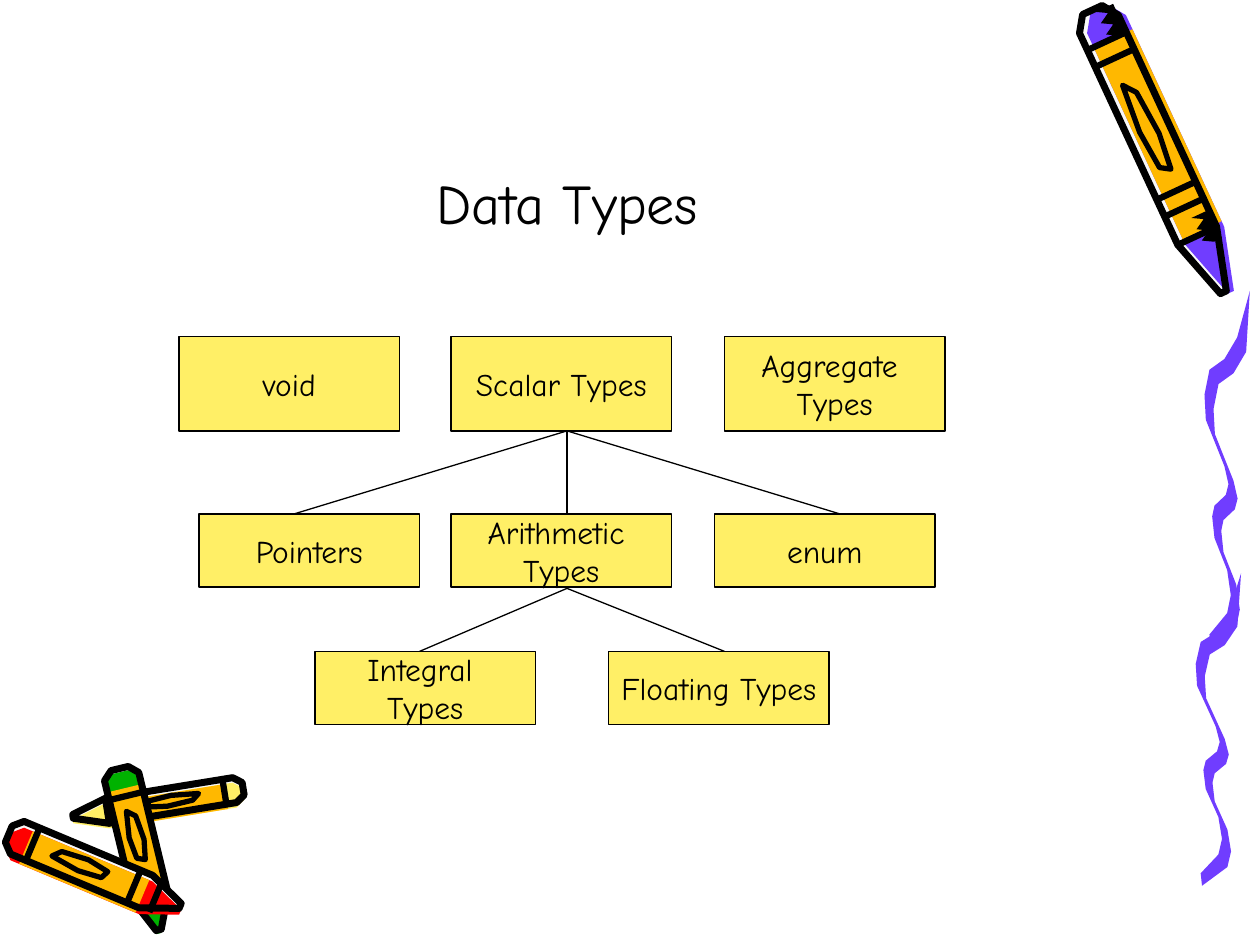
from math import hypot

from pptx import Presentation
from pptx.dml.color import RGBColor
from pptx.enum.shapes import MSO_CONNECTOR as CONN, MSO_SHAPE as SHAPE
from pptx.enum.text import MSO_ANCHOR as ANCHOR, PP_ALIGN as ALIGN
from pptx.oxml.ns import qn
from pptx.util import Inches, Pt

rgb = RGBColor.from_string
PURPLE, ORANGE, YELLOW = "703DFF", "FFB800", "FFEF66"
RED, GREEN, WHITE, BLACK = "FF0000", "00B200", "F8F8F8", "000000"
FONT = "Comic Neue"


def add_polygon(points, fill=None, ink=0):
    """Draw a closed outline through points in inches, filled or inked."""
    corners = [(Inches(x), Inches(y)) for x, y in points]
    builder = slide.shapes.build_freeform(*corners[0])
    builder.add_line_segments(corners[1:], close=True)
    s = builder.convert_to_shape()
    s.shadow.inherit = False
    if fill:
        s.fill.solid()
        s.fill.fore_color.rgb = rgb(fill)
    else:
        s.fill.background()
    if ink:
        s.line.color.rgb = rgb(BLACK)
        s.line.width = Pt(ink)
    else:
        s.line.fill.background()


def write_text(tf, lines, size, anchor):
    """Write centred lines, one paragraph each."""
    tf.text = "\n".join(lines)
    tf.vertical_anchor = anchor
    for p in tf.paragraphs:
        p.alignment = ALIGN.CENTER
        font = p.runs[0].font
        for name, value in {"size": Pt(size), "name": FONT}.items():
            setattr(font, name, value)
        font.color.rgb = rgb(BLACK)


prs = Presentation()
prs.slide_width, prs.slide_height = Inches(10), Inches(7.5)
slide = prs.slides.add_slide(prs.slide_layouts[5])

# Every crayon shares these parts, measured as (along, across):
# along runs from 0 at the back to 1 at the tip, across from -1 to 1
silhouette = [(0, -0.5), (0, 0.5), (0.05, 1), (0.8, 1), (1, 0.15),
              (1, -0.15), (0.8, -1), (0.05, -1)]
barrel = [(0.1, -1), (0.1, 1), (0.78, 1), (0.78, -1)]
label = [(0.26, -0.2), (0.3, 0.25), (0.45, 0.4), (0.57, 0.2),
         (0.55, -0.25), (0.42, -0.4)]

# The colour is printed a little off the ink, by the offset (dx, dy)
crayons = [
    {"back": (1.93, 6.26), "tip": (0.58, 6.48), "half": 0.1, "colour": YELLOW,
     "offset": (0, 0.04), "bands": [0.11, 0.8], "hatches": []},
    {"back": (0.95, 6.1), "tip": (1.26, 7.38), "half": 0.14, "colour": GREEN,
     "offset": (0, 0.03), "bands": [0.17, 0.8], "hatches": []},
    {"back": (0.07, 6.62), "tip": (1.43, 7.19), "half": 0.14, "colour": RED,
     "offset": (0, 0.05), "bands": [0.14, 0.73, 0.86], "hatches": []},
    {"back": (8.67, 0.08), "tip": (9.71, 2.32), "half": 0.17, "colour": PURPLE,
     "offset": (0.06, 0), "bands": [0.11, 0.17, 0.64, 0.7, 0.8],
     "hatches": [0.01, 0.74]},
]
for crayon in crayons:
    (x0, y0), (x1, y1) = crayon["back"], crayon["tip"]
    length = hypot(x1 - x0, y1 - y0)
    side_x = crayon["half"] * (y1 - y0) / length
    side_y = -crayon["half"] * (x1 - x0) / length
    stroke = 0.025 / length
    parts = [
        (silhouette, (0, 0), {"fill": WHITE}),
        (silhouette, crayon["offset"], {"fill": crayon["colour"]}),
        (barrel, crayon["offset"], {"fill": ORANGE}),
        (silhouette, (0, 0), {"ink": 4}),
        (label, (0, 0), {"ink": 3}),
    ]
    for band in crayon["bands"]:
        strip = [(band - stroke, 1), (band + stroke, 1),
                 (band + stroke, -1), (band - stroke, -1)]
        parts.append((strip, (0, 0), {"fill": BLACK}))
    for start in crayon["hatches"]:
        teeth = [(start + 0.02 * i, 0.6 if i % 2 else 0.1) for i in range(6)]
        shade = [(start, 1)] + teeth + [(start + 0.1, 1)]
        parts.append((shade, (0, 0), {"fill": BLACK}))
    for part, (dx, dy), style in parts:
        points = [(x0 + dx + u * (x1 - x0) + v * side_x,
                   y0 + dy + u * (y1 - y0) + v * side_y) for u, v in part]
        add_polygon(points, **style)

# Scribble: one ribbon drawn twice, its right edge being the left edge moved;
# the edge is given in fractions of the ribbon's width and height
left_edge = [(1, 0), (0.72, 0.13), (0.44, 0.19), (0.11, 0.22), (0, 0.29),
             (0.03, 0.36), (0.44, 0.49), (0.53, 0.54), (0.47, 0.57),
             (0.22, 0.6), (0.17, 0.63), (0.22, 0.69), (0.5, 0.78),
             (0.58, 0.85), (0.5, 0.9), (0.11, 0.96)]
right_edge = [(u + 0.2, v + 0.04) for u, v in left_edge[1:-1]]
ribbon = left_edge + [(0.14, 1)] + right_edge[::-1]
for left, top, width, height in [(9.49, 4.55, 0.36, 2.48), (9.56, 2.31, 0.36, 2.84)]:
    add_polygon([(left + u * width, top + v * height) for u, v in ribbon], PURPLE)

# Title
title = slide.shapes.title
place = {"left": 0.75, "top": 0.17, "width": 7.51, "height": 1.75}
for name, value in place.items():
    setattr(title, name, Inches(value))
write_text(title.text_frame, ["Data Types"], 32, ANCHOR.BOTTOM)

# Type boxes: top and height of each row, then left edge and lines of text
box_width = 1.75
rows = [
    (2.67, 0.75, [(1.42, ["void"]), (3.58, ["Scalar Types"]),
                  (5.75, ["Aggregate ", "Types"])]),
    (4.08, 0.58, [(1.58, ["Pointers"]), (3.58, ["Arithmetic ", "Types"]),
                  (5.67, ["enum"])]),
    (5.17, 0.58, [(2.5, ["Integral ", "Types"]), (4.83, ["Floating Types"])]),
]
for top, height, boxes in rows:
    for left, lines in boxes:
        s = slide.shapes.add_shape(SHAPE.RECTANGLE, Inches(left), Inches(top),
                                   Inches(box_width), Inches(height))
        s.shadow.inherit = False
        s.fill.solid()
        s.fill.fore_color.rgb = rgb(YELLOW)
        s.line.color.rgb = rgb(BLACK)
        s.line.width = Pt(0.75)
        s.text_frame.word_wrap = False
        write_text(s.text_frame, lines, 18, ANCHOR.MIDDLE)

# Branches fan out from a point under each parent type to its subtypes
parent_x = 4.5
branches = [(3.42, 4.08, [parent_x, 2.33, 6.67]), (4.67, 5.17, [3.33, 5.75])]
for parent_y, child_y, children in branches:
    for child_x in children:
        s = slide.shapes.add_connector(CONN.STRAIGHT, Inches(parent_x), Inches(parent_y),
                                       Inches(child_x), Inches(child_y))
        s.line.color.rgb = rgb(BLACK)
        s.line.width = Pt(0.75)
        sp_pr = s._element.spPr
        sp_pr.append(sp_pr.makeelement(qn("a:effectLst"), {}))

prs.save("out.pptx")
